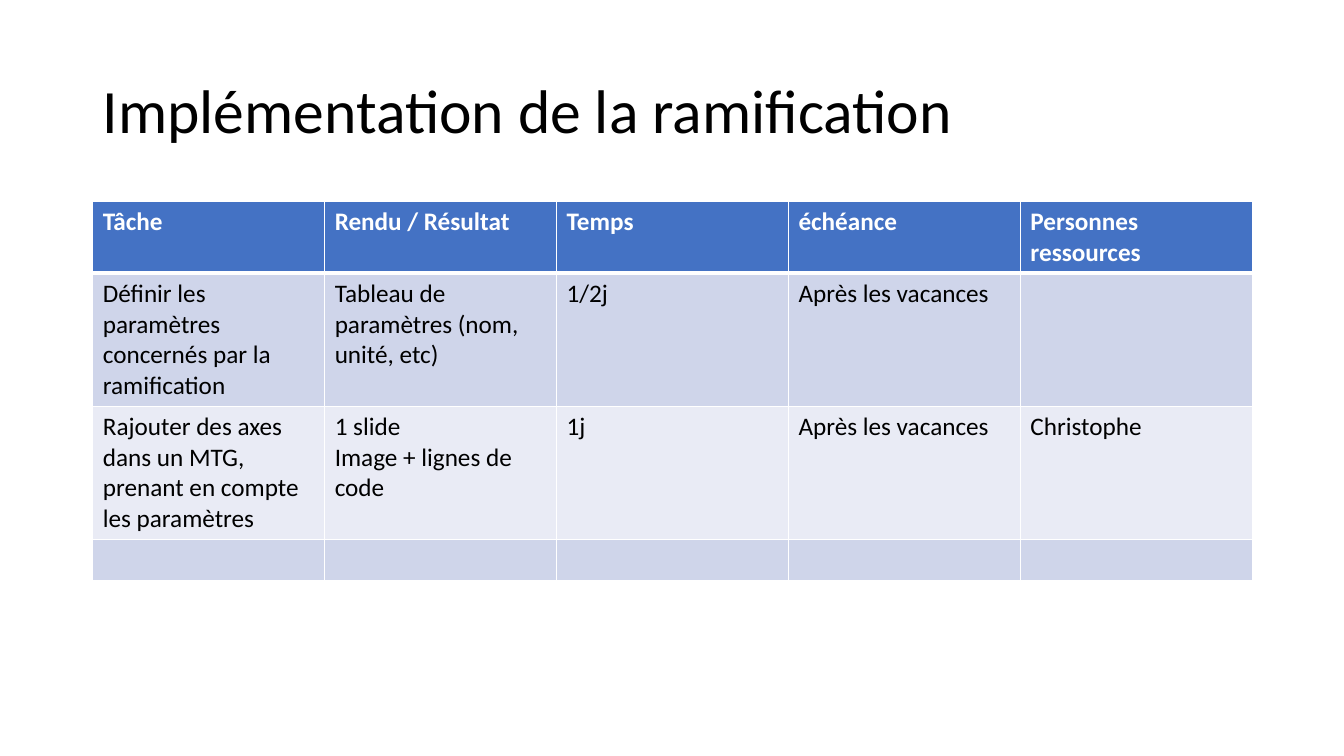
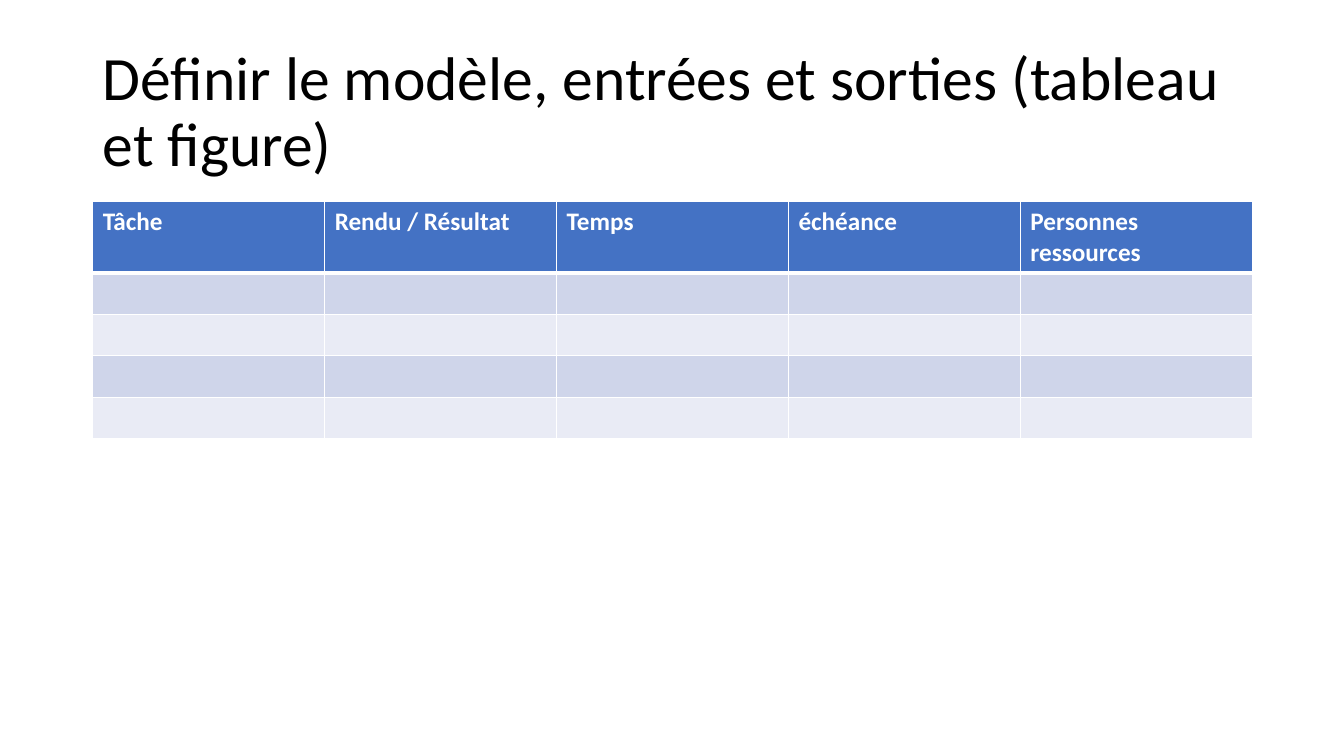
import pptx
import pptx.util
import pptx.dml.color
import pptx.enum.text
import pptx.oxml.ns
import lxml.etree

HUES = {"head": "4472C4", "odd": "CFD5EA", "even": "E9EBF5",
        "line": "FFFFFF", "light": "FFFFFF", "dark": "000000"}
FONT = "Calibri"
HEADS = ["Tâche", "Rendu / Résultat", "Temps", "échéance", "Personnes ressources"]
BLANK = [""] * len(HEADS)
PAGES = [
    ("Implémentation de la ramification", [
        ["Définir les paramètres concernés par la ramification",
         "Tableau de paramètres (nom, unité, etc)", "1/2j", "Après les vacances", ""],
        ["Rajouter des axes dans un MTG, prenant en compte les paramètres",
         "1 slide\nImage + lignes de code", "1j", "Après les vacances", "Christophe"],
        BLANK]),
    ("Définir le modèle, entrées et sorties (tableau et figure)", [BLANK] * 4),
]
LEFT, WIDE = 0.92, 11.5
ROW = 0.41


def style(para, size, hue, bold=False):
    para.font.name = FONT
    para.font.size = pptx.util.Pt(size)
    para.font.bold = bold
    para.font.color.rgb = pptx.dml.color.RGBColor.from_string(HUES[hue])


def edge(cell, side, width):
    qn = pptx.oxml.ns.qn
    props = cell._tc.get_or_add_tcPr()
    line = lxml.etree.SubElement(props, qn("a:ln" + side), w=str(pptx.util.Pt(width)))
    fill = lxml.etree.SubElement(line, qn("a:solidFill"))
    lxml.etree.SubElement(fill, qn("a:srgbClr"), val=HUES["line"])


deck = pptx.Presentation()
deck.slide_width = pptx.util.Inches(13.33)
deck.slide_height = pptx.util.Inches(7.5)

for name, tasks in PAGES:
    slide = deck.slides.add_slide(deck.slide_layouts[5])
    title = slide.shapes.title
    title.left, title.top, title.width, title.height = map(
        pptx.util.Inches, (LEFT, 0.4, WIDE, 1.45))
    frame = title.text_frame
    frame.text = name
    frame.word_wrap = True
    frame.auto_size = pptx.enum.text.MSO_AUTO_SIZE.NONE
    frame.vertical_anchor = pptx.enum.text.MSO_ANCHOR.MIDDLE
    para = frame.paragraphs[0]
    para.alignment = pptx.enum.text.PP_ALIGN.LEFT
    para.line_spacing = 0.9
    style(para, 44, "dark")

    rows = [HEADS] + tasks
    grid = slide.shapes.add_table(
        len(rows), len(HEADS),
        *map(pptx.util.Inches, (LEFT, 2, WIDE, ROW * len(rows)))).table
    for r, row in enumerate(rows):
        band = "head" if r == 0 else "odd" if r % 2 else "even"
        for c, text in enumerate(row):
            cell = grid.cell(r, c)
            cell.text = text
            for para in cell.text_frame.paragraphs:
                style(para, 18, "dark" if r else "light", r == 0)
            for side in "LRTB":
                thick = (r, side) in [(0, "B"), (1, "T")]
                edge(cell, side, 3 if thick else 1)
            cell.fill.solid()
            cell.fill.fore_color.rgb = pptx.dml.color.RGBColor.from_string(HUES[band])

deck.save("out.pptx")
